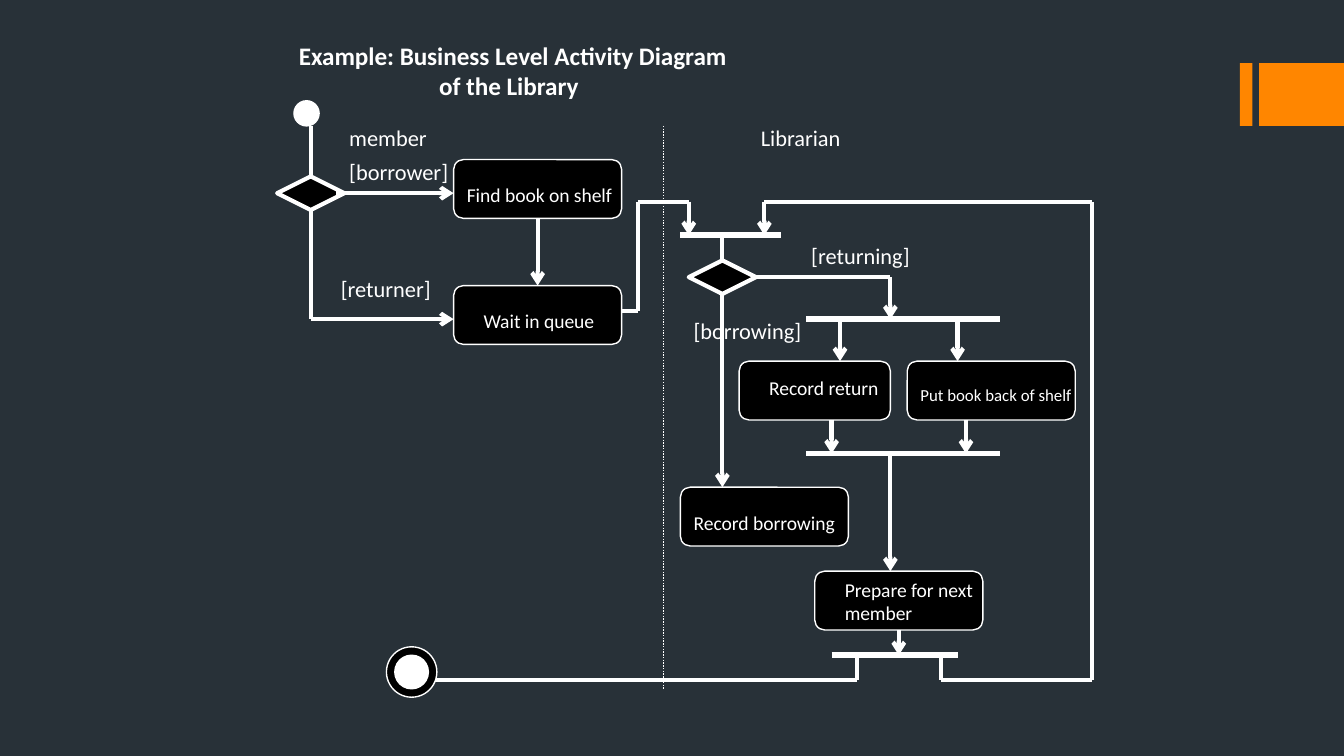
from itertools import pairwise

from lxml.etree import SubElement
from pptx import Presentation
from pptx.dml.color import RGBColor
from pptx.enum.dml import MSO_LINE as Dash
from pptx.enum.shapes import MSO_CONNECTOR as Link, MSO_SHAPE as Form
from pptx.enum.text import MSO_ANCHOR as Anchor, MSO_AUTO_SIZE as Fit, PP_ALIGN as Align
from pptx.oxml.ns import qn
from pptx.util import Pt

PX = 5715  # 160 px to the inch
COLORS = {"back": "283138", "accent": "FF8600", "ink": "FFFFFF", "node": "000000"}


class Sheet:
    font = "Calibri"

    def __init__(self, deck):
        self.slide = deck.slides.add_slide(deck.slide_layouts[6])
        self.shapes = self.slide.shapes
        self.paint(self.slide.background.fill, "back")

    def paint(self, fill, name):
        fill.solid()
        fill.fore_color.rgb = RGBColor.from_string(COLORS[name])

    def shape(self, form, box, fill="node", width=0.75):
        item = self.shapes.add_shape(form, *(n * PX for n in box))
        item.shadow.inherit = False
        self.paint(item.fill, fill)
        if width:
            self.paint(item.line.fill, "ink")
            item.line.width = Pt(width)
        else:
            item.line.fill.background()
        return item

    def node(self, x, y, w=200):
        self.shape(Form.ROUNDED_RECTANGLE, (x, y, w, 70)).adjustments[0] = 0.167

    def choice(self, x, y):
        self.shape(Form.DIAMOND, (x, y, 80, 40), width=2.25)

    def route(self, *points, arrow=False, width=2.25, dash=None):
        for a, b in pairwise(points):
            line = self.shapes.add_connector(
                Link.STRAIGHT, *(n * PX for n in a + b))
            self.paint(line.line.fill, "ink")
            line.line.width = Pt(width)
            if dash:
                line.line.dash_style = dash
            props = line._element.spPr
            if arrow and b == points[-1]:
                SubElement(props.find(qn("a:ln")), qn("a:tailEnd"), type="arrow")
            SubElement(props, qn("a:effectLst"))

    def text(self, box, lines, size=12, bold=False, indent=0):
        item = self.shapes.add_textbox(*(n * PX for n in box))
        frame = item.text_frame
        frame.word_wrap = False
        frame.auto_size = Fit.SHAPE_TO_FIT_TEXT
        frame.vertical_anchor = Anchor.TOP
        for i, words in enumerate(lines):
            para = frame.add_paragraph() if i else frame.paragraphs[0]
            para.alignment = Align.LEFT
            if i and indent:
                para._p.get_or_add_pPr().set("marL", str(indent * PX))
            run = para.add_run()
            run.text = words
            run.font.name = self.font
            run.font.size = Pt(size)
            run.font.bold = bold
            run.font.color.rgb = RGBColor.from_string(COLORS["ink"])


def main():
    deck = Presentation()
    deck.slide_width, deck.slide_height = 1600 * PX, 900 * PX
    page = Sheet(deck)

    # Corner blocks and title
    for x, w in ((1476, 15), (1499, 101)):
        page.shape(Form.RECTANGLE, (x, 75, w, 75), "accent", 0)
    page.text((340, 40, 550, 88),
              ["Example: Business Level Activity Diagram", "of the Library"],
              13.5, True, 167)

    # Swimlane divider
    page.route((790, 150), (790, 820), width=0.75, dash=Dash.ROUND_DOT)

    # Start, choices and activities
    page.shape(Form.OVAL, (350, 120, 30, 30), "ink")
    for x, y in ((330, 210), (820, 310)):
        page.choice(x, y)
    for spot in ((540, 190), (540, 340), (970, 680), (810, 580),
                 (880, 430, 180), (1080, 430)):
        page.node(*spot)

    # Fork and join bars
    for x, y, end in ((810, 280, 930), (960, 380, 1190),
                      (960, 540, 1190), (990, 780, 1140)):
        page.route((x, y), (end, y), width=3)

    # Plain links
    page.route((370, 210), (370, 150))
    page.route((860, 280), (860, 310))
    page.route((1020, 780), (1020, 810), (510, 810))

    # Arrows
    for points in (
        ((400, 230), (540, 230)),
        ((370, 250), (370, 380), (540, 380)),
        ((740, 370), (760, 370), (760, 240), (820, 240), (820, 280)),
        ((1120, 780), (1120, 810), (1300, 810), (1300, 240), (910, 240), (910, 280)),
        ((900, 330), (1060, 330), (1060, 380)),
    ):
        page.route(*points, arrow=True)
    for x, top, end in ((640, 260, 340), (860, 350, 580), (1060, 540, 680),
                        (1000, 380, 430), (1140, 380, 430), (990, 500, 540),
                        (1150, 500, 540), (1070, 750, 780)):
        page.route((x, top), (x, end), arrow=True)

    # Lane names and guards
    for x, y, w, words in (
        (400, 140, 125, "member"), (890, 140, 128, "Librarian"),
        (400, 180, 150, "[borrower]"), (390, 320, 139, "[returner]"),
        (950, 280, 149, "[returning]"), (810, 370, 160, "[borrowing]"),
    ):
        page.text((x, y, w, 48), [words])

    # Activity names
    for x, y, w, words in (
        (540, 210, 205, "Find book on shelf"), (560, 360, 165, "Wait in queue"),
        (810, 600, 202, "Record borrowing"), (900, 440, 163, "Record return"),
    ):
        page.text((x, y, w, 45), [words], 10.5)
    page.text((990, 680, 192, 72), ["Prepare for next", "member"], 10.5)
    page.text((1080, 450, 211, 40), ["Put book back of shelf"], 9)

    # End mark
    page.shape(Form.OVAL, (460, 770, 60, 60))
    page.shape(Form.OVAL, (470, 780, 40, 40), "ink")

    deck.save("out.pptx")


if __name__ == "__main__":
    main()
